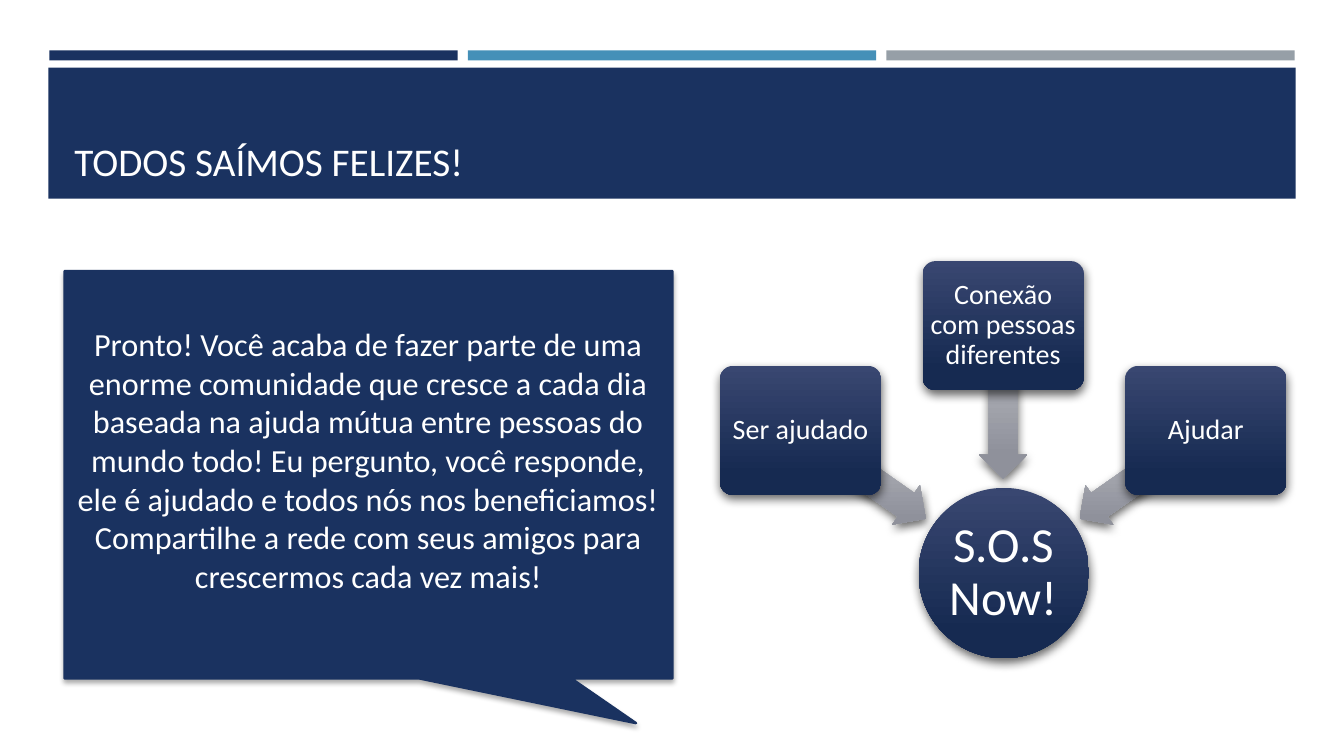
import pptx
import pptx.dml.color
import pptx.enum.shapes
import pptx.enum.text
import pptx.oxml
import pptx.oxml.ns
import pptx.util

PX = 9144  # EMU, 100 px to the inch
NAVY, BLUE, GRAY, WHITE = "1A3260", "4590B8", "969FA7", "FFFFFF"
NAVY_SHADES = ("394771", "162A51")
GRAY_SHADES = ("C1C3C9", "8F919B")
SHAPE = pptx.enum.shapes.MSO_SHAPE
ALIGN = pptx.enum.text.PP_ALIGN
ANCHOR = pptx.enum.text.MSO_ANCHOR

TITLE = "TODOS SAÍMOS FELIZES!"
MESSAGE = (
    "Pronto! Você acaba de fazer parte de uma enorme comunidade que cresce "
    "a cada dia baseada na ajuda mútua entre pessoas do mundo todo! Eu "
    "pergunto, você responde, ele é ajudado e todos nós nos beneficiamos! "
    "Compartilhe a rede com seus amigos para crescermos cada vez mais!"
)


def px(length):
    return pptx.util.Emu(length * PX)


def color(value):
    return pptx.dml.color.RGBColor.from_string(value)


def write_text(shape, text, size, align=ALIGN.CENTER, anchor=ANCHOR.MIDDLE,
               insets=(10, 5, 10, 5), line_spacing=1.0):
    """Insets are left, top, right and bottom."""
    frame = shape.text_frame
    frame.word_wrap = True
    frame.vertical_anchor = anchor
    (frame.margin_left, frame.margin_top,
     frame.margin_right, frame.margin_bottom) = map(px, insets)
    paragraph = frame.paragraphs[0]
    paragraph.alignment = align
    paragraph.line_spacing = line_spacing
    run = paragraph.add_run()
    run.text = text
    run.font.name = "Calibri"
    run.font.size = pptx.util.Pt(size)
    run.font.color.rgb = color(WHITE)


def add_shape(slide, kind, left, top, width, height, adjustments=()):
    shape = slide.shapes.add_shape(kind, px(left), px(top), px(width), px(height))
    shape.shadow.inherit = False
    shape.line.fill.background()
    for index, value in enumerate(adjustments):
        shape.adjustments[index] = value
    return shape


def fill_solid(shape, value):
    shape.fill.solid()
    shape.fill.fore_color.rgb = color(value)


def fill_gradient(shape, shades):
    """Shade from top to bottom of the slide, whatever the shape's rotation."""
    shape.fill.gradient()
    shape.fill.gradient_angle = (270 + shape.rotation) % 360
    for stop, shade, position in zip(shape.fill.gradient_stops, shades, (0, 0.84)):
        stop.color.rgb = color(shade)
        stop.position = position


def add_shadow(shape, opacity=60, blur=7, distance=3, angle=84):
    effects = shape._element.spPr.find(pptx.oxml.ns.qn("a:effectLst"))
    effects.append(pptx.oxml.parse_xml(
        f'<a:outerShdw {pptx.oxml.ns.nsdecls("a")} '
        f'blurRad="{pptx.util.Pt(blur)}" dist="{pptx.util.Pt(distance)}" '
        f'dir="{angle * 60000}" algn="ctr" rotWithShape="0">'
        f'<a:srgbClr val="000000"><a:alpha val="{opacity * 1000}"/></a:srgbClr>'
        f'</a:outerShdw>'))


def add_header(slide):
    for index, value in enumerate((NAVY, BLUE, GRAY)):
        fill_solid(add_shape(slide, SHAPE.RECTANGLE, 49 + index * 415, 50, 405, 10), value)
    fill_solid(add_shape(slide, SHAPE.RECTANGLE, 48, 67, 1237, 130), NAVY)
    title = slide.shapes.add_textbox(px(64), px(77), px(1206), px(111))
    write_text(title, TITLE, 28, align=ALIGN.LEFT, anchor=ANCHOR.BOTTOM)


def add_hub(slide):
    hub = add_shape(slide, SHAPE.OVAL, 911, 484, 169, 169)
    fill_gradient(hub, NAVY_SHADES)
    add_shadow(hub)
    write_text(hub, "S.O.S Now!", 35, insets=(2, 2, 2, 2), line_spacing=0.9)


def add_arrow(slide, left, top, rotation):
    arrow = add_shape(slide, SHAPE.LEFT_ARROW, left, top, 152, 48, (0.6, 0.5))
    arrow.rotation = rotation
    fill_gradient(arrow, GRAY_SHADES)
    add_shadow(arrow)


def add_box(slide, left, top, text):
    box = add_shape(slide, SHAPE.ROUNDED_RECTANGLE, left, top, 160, 128, (0.1,))
    fill_gradient(box, NAVY_SHADES)
    add_shadow(box)
    write_text(box, text, 20, insets=(3, 3, 3, 3), line_spacing=0.9)


def add_message(slide):
    callout = add_shape(slide, SHAPE.RECTANGULAR_CALLOUT, 64, 269, 603, 404, (0.44, 0.61))
    fill_solid(callout, NAVY)
    callout.line.color.rgb = color(NAVY)
    callout.line.width = pptx.util.Pt(1.75)
    add_shadow(callout, opacity=32, blur=3.5, distance=2.2, angle=90)
    write_text(callout, MESSAGE, 23, insets=(10, 5, 10, 35))


def main():
    presentation = pptx.Presentation()
    presentation.slide_width, presentation.slide_height = px(1333), px(750)
    slide = presentation.slides.add_slide(presentation.slide_layouts[6])
    add_header(slide)
    add_hub(slide)
    spokes = (
        ("Ser ajudado", 363, 780, 447, 215),
        ("Conexão com pessoas diferentes", 259, 919, 375, 270),
        ("Ajudar", 363, 1057, 447, 325),
    )
    for index, (text, box_top, arrow_left, arrow_top, rotation) in enumerate(spokes):
        add_arrow(slide, arrow_left, arrow_top, rotation)
        add_box(slide, 714 + index * 201, box_top, text)
    add_message(slide)
    presentation.save("out.pptx")


if __name__ == "__main__":
    main()
